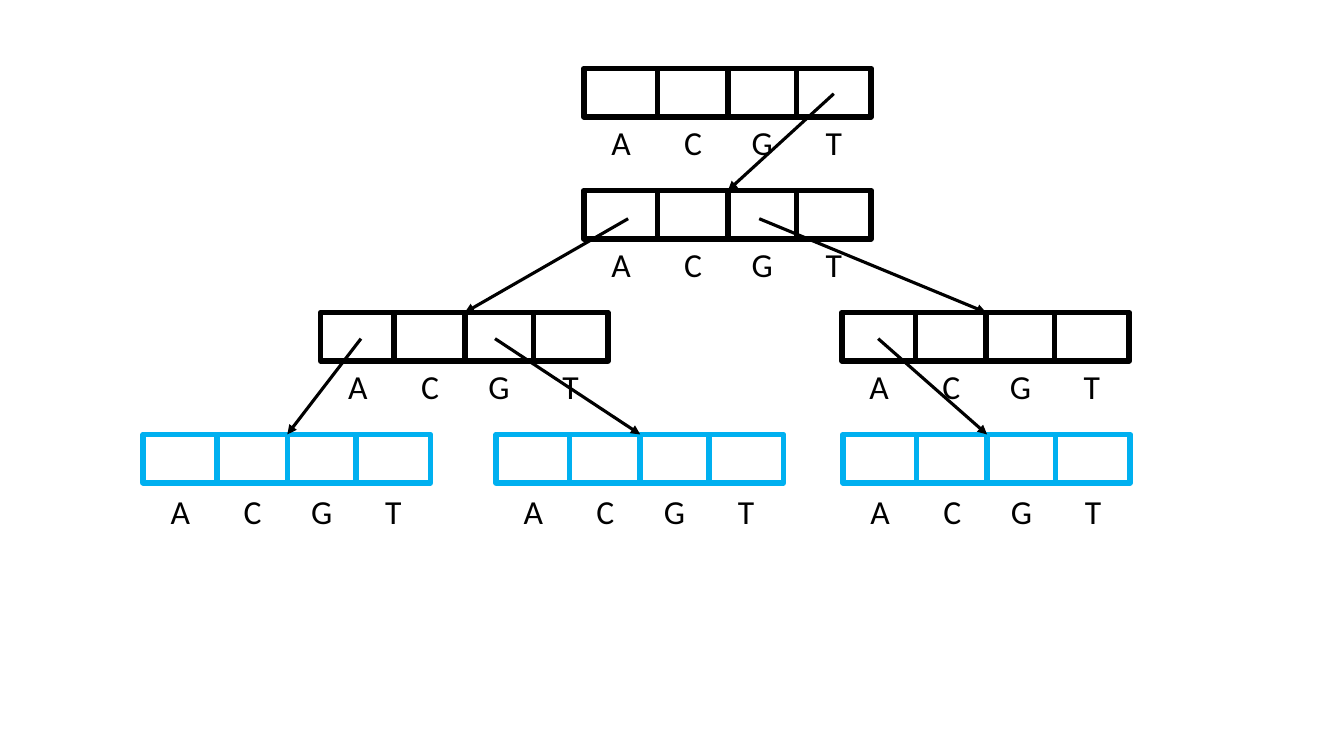
from lxml.etree import SubElement
from pptx import Presentation
from pptx.dml.color import RGBColor
from pptx.enum.shapes import MSO_CONNECTOR, MSO_SHAPE
from pptx.enum.text import MSO_AUTO_SIZE, PP_ALIGN
from pptx.oxml.ns import qn
from pptx.util import Inches, Pt

BLACK, BLUE = "000000", "00B0F0"
CELLS = [("A", 0, 0.74), ("C", 0.73, 0.71), ("G", 1.43, 0.68), ("T", 2.11, 0.74)]
NODE_WIDTH, NODE_HEIGHT, MIDDLE = 2.85, 0.48, 1.43
LABEL_HEIGHT = 0.5
TOP, ROW_STEP = 0.68, 1.21
NODES = {
    "root": (5.79, 0, BLACK, 0),
    "T": (5.79, 1, BLACK, 0),
    "TA": (3.18, 2, BLACK, 0),
    "TG": (8.35, 2, BLACK, 0),
    "TAA": (1.42, 3, BLUE, 0.03),
    "TAG": (4.92, 3, BLUE, 0.03),
    "TGA": (8.36, 3, BLUE, 0.03),
}
POINTERS = [
    ((8.27, 0.93), "T"),
    ((6.23, 2.17), "TA"),
    ((7.53, 2.17), "TG"),
    ((3.58, 3.36), "TAA"),
    ((4.91, 3.36), "TAG"),
    ((8.71, 3.36), "TGA"),
]


def color(value):
    return RGBColor.from_string(value)


def add_line(slide, start, end, stroke, weight, arrow=False):
    line = slide.shapes.add_connector(
        MSO_CONNECTOR.STRAIGHT, *(Inches(v) for v in (*start, *end)))
    line.line.color.rgb = color(stroke)
    line.line.width = Pt(weight)
    if arrow:
        SubElement(line.line._get_or_add_ln(), qn("a:tailEnd"), type="triangle")
    SubElement(line._element.spPr, qn("a:effectLst"))


def add_label(slide, letter, left, top, width):
    label = slide.shapes.add_textbox(
        Inches(left), Inches(top), Inches(width), Inches(LABEL_HEIGHT))
    frame = label.text_frame
    frame.word_wrap = True
    frame.auto_size = MSO_AUTO_SIZE.SHAPE_TO_FIT_TEXT
    paragraph = frame.paragraphs[0]
    paragraph.alignment = PP_ALIGN.CENTER
    run = paragraph.add_run()
    run.text = letter
    run.font.size = Pt(24)
    run.font.name = "Calibri"
    run.font.color.rgb = color(BLACK)


def add_node(slide, left, level, stroke, label_gap):
    top = TOP + level * ROW_STEP
    bottom = top + NODE_HEIGHT
    node = slide.shapes.add_shape(
        MSO_SHAPE.RECTANGLE, Inches(left), Inches(top),
        Inches(NODE_WIDTH), Inches(NODE_HEIGHT))
    node.shadow.inherit = False
    node.fill.background()
    node.line.color.rgb = color(stroke)
    node.line.width = Pt(4)
    for letter, offset, width in CELLS:
        x = left + offset
        if offset:
            add_line(slide, (x, top), (x, bottom), stroke, 4)
        add_label(slide, letter, x, bottom + label_gap, width)


def main():
    deck = Presentation()
    deck.slide_width, deck.slide_height = Inches(13.33), Inches(7.5)
    slide = deck.slides.add_slide(deck.slide_layouts[6])
    for node in NODES.values():
        add_node(slide, *node)
    for start, child in POINTERS:
        left, level, *_ = NODES[child]
        end = (left + MIDDLE, TOP + level * ROW_STEP)
        add_line(slide, start, end, BLACK, 2.25, arrow=True)
    deck.save("out.pptx")


if __name__ == "__main__":
    main()
